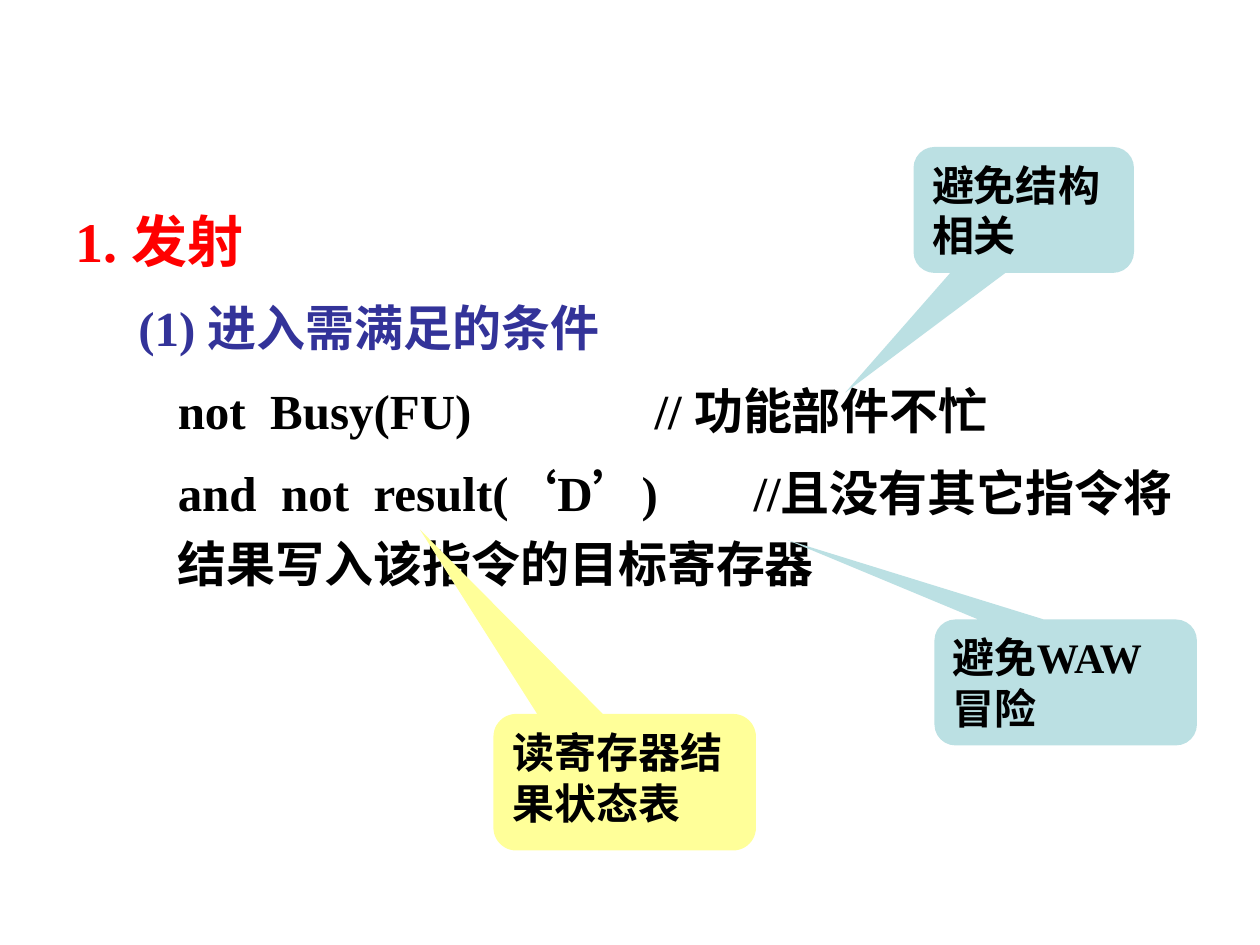
from dataclasses import dataclass

from lxml.etree import SubElement
from pptx import Presentation
from pptx.dml.color import RGBColor
from pptx.enum.shapes import MSO_SHAPE as Shape
from pptx.enum.text import MSO_ANCHOR as Anchor, PP_ALIGN as Align
from pptx.oxml.ns import qn
from pptx.util import Pt


@dataclass(frozen=True)
class Theme:
    serif: str = "Times New Roman"
    sans: str = "Arial"
    heading: RGBColor = RGBColor(0xFF, 0x00, 0x00)
    subheading: RGBColor = RGBColor(0x33, 0x33, 0x99)
    ink: RGBColor = RGBColor(0x00, 0x00, 0x00)
    aqua: RGBColor = RGBColor(0xBB, 0xE0, 0xE3)
    yellow: RGBColor = RGBColor(0xFF, 0xFF, 0x99)
    heading_size: int = 32
    body_size: int = 28
    note_size: int = 24


THEME = Theme()


def style(para, size, color, font=THEME.serif):
    para.font.name = font
    para.font.size = Pt(size)
    para.font.bold = True
    para.font.color.rgb = color


def add_tab_stop(para, position):
    tabs = SubElement(para._p.get_or_add_pPr(), qn("a:tabLst"))
    SubElement(tabs, qn("a:tab"), pos=str(Pt(position)), algn="l")


def add_conditions(page, left, top, width, height):
    frame = page.shapes.add_textbox(Pt(left), Pt(top), Pt(width), Pt(height)).text_frame
    frame.word_wrap = True
    lines = [
        ("1. 发射", THEME.heading_size, THEME.heading, 0, None),
        ("(1) 进入需满足的条件", THEME.body_size, THEME.subheading, 36, None),
        ("not  Busy(FU)\t// 功能部件不忙", THEME.body_size, THEME.ink, 58.5, 272.5),
        ("and  not  result(‘D’)\t//且没有其它指令将结果写入该指令的目标寄存器",
         THEME.body_size, THEME.ink, 58.5, 329),
    ]
    for index, (text, size, color, indent, tab_stop) in enumerate(lines):
        para = frame.add_paragraph() if index else frame.paragraphs[0]
        para.text = text
        para.line_spacing = 1.2
        para.space_before = Pt(7 if index else 0)
        para._p.get_or_add_pPr().set("marL", str(Pt(indent)))
        if tab_stop:
            add_tab_stop(para, tab_stop)
        style(para, size, color)


def add_callout(page, left, top, width, height, text, fill, tip, font=THEME.serif):
    callout = page.shapes.add_shape(
        Shape.ROUNDED_RECTANGULAR_CALLOUT, Pt(left), Pt(top), Pt(width), Pt(height))
    callout.adjustments[0], callout.adjustments[1] = tip
    callout.shadow.inherit = False
    callout.fill.solid()
    callout.fill.fore_color.rgb = fill
    callout.line.fill.background()
    frame = callout.text_frame
    frame.word_wrap = True
    frame.vertical_anchor = Anchor.TOP
    para = frame.paragraphs[0]
    para.text = text
    para.alignment = Align.LEFT
    style(para, THEME.note_size, THEME.ink, font)


def main():
    deck = Presentation()
    deck.slide_width, deck.slide_height = Pt(720), Pt(540)
    page = deck.slides.add_slide(deck.slide_layouts[6])
    add_conditions(page, 36, 106.5, 649, 345)
    add_callout(page, 522, 84, 126, 72, "避免结构相关", THEME.aqua, (-0.81, 1.45), THEME.sans)
    add_callout(page, 534, 354, 150, 72, "避免WAW冒险", THEME.aqua, (-1.06, -1.13))
    add_callout(page, 282, 408, 150, 78, "读寄存器结果状态表", THEME.yellow, (-0.78, -1.85))
    deck.save("out.pptx")


if __name__ == "__main__":
    main()
